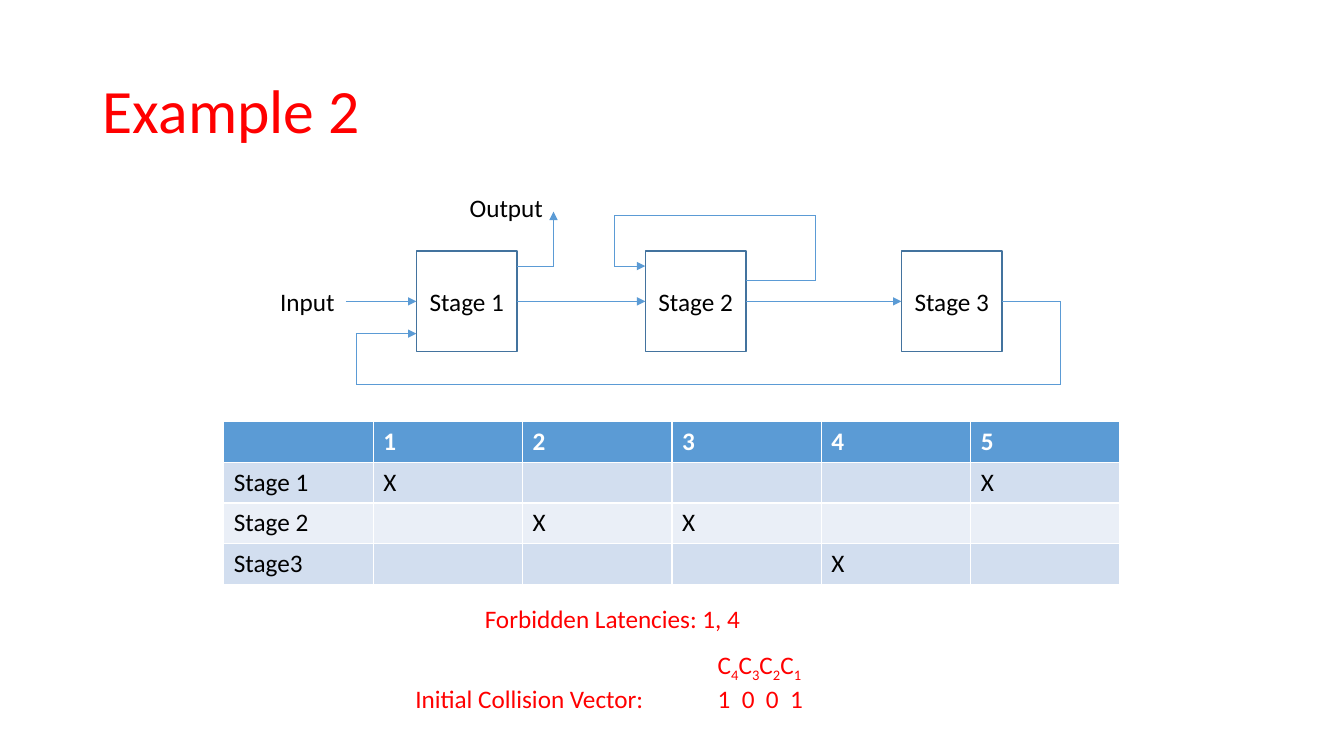
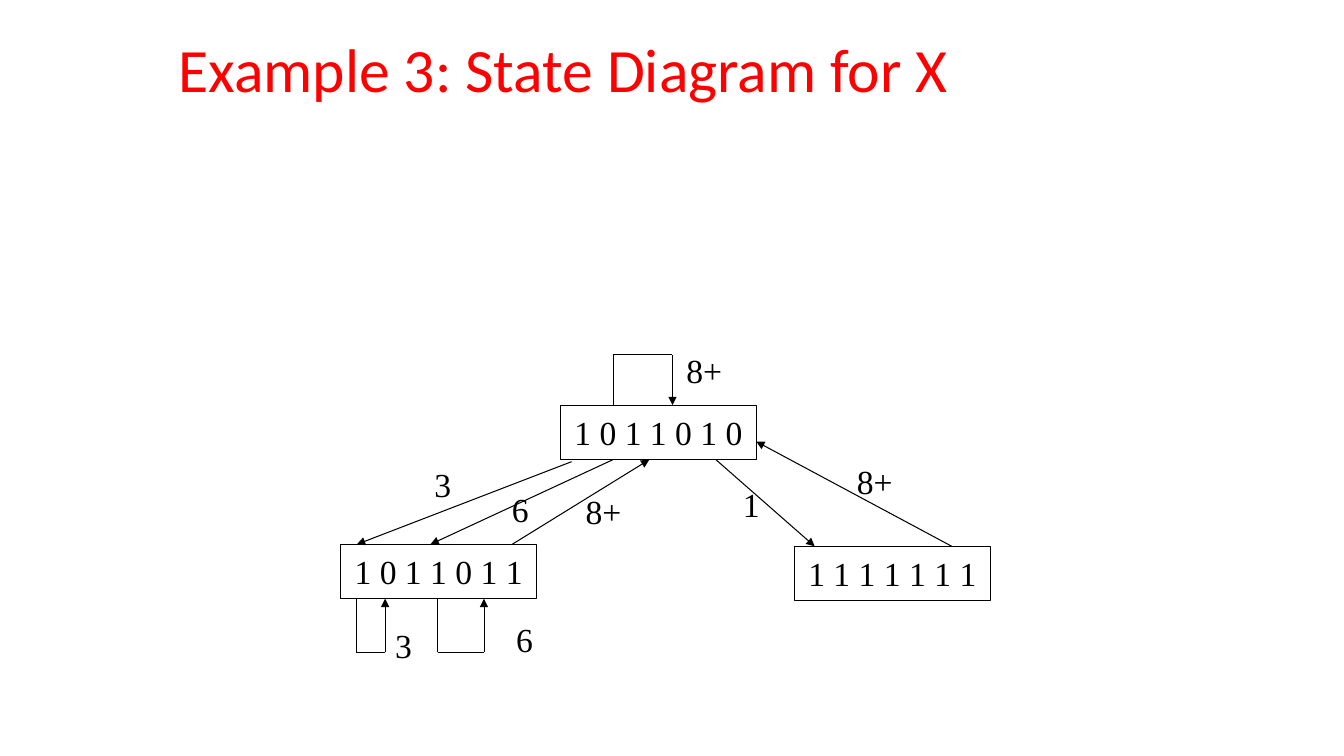
from lxml import etree
from pptx import Presentation
from pptx import util as u
from pptx.dml.color import RGBColor
from pptx.enum import shapes, text
from pptx.oxml import ns

RED = RGBColor(0xFF, 0x00, 0x00)
BLACK = RGBColor(0x00, 0x00, 0x00)
WHITE = RGBColor(0xFF, 0xFF, 0xFF)
BLUE = RGBColor(0x5B, 0x9B, 0xD5)
EDGE = RGBColor(0x43, 0x73, 0x9E)
BANDS = RGBColor(0xD2, 0xDE, 0xEF), RGBColor(0xEA, 0xEF, 0xF7)
SANS = "Calibri"
SERIF = "Times New Roman"


def inch(*sizes):
    return [u.Inches(size) for size in sizes]


def style(para, face, size, color, bold=False):
    font = para.font
    font.name, font.size, font.bold = face, u.Pt(size), bold
    font.color.rgb = color


def start(deck, title, *place):
    slide = deck.slides.add_slide(deck.slide_layouts[5])
    head = slide.shapes.title
    head.left, head.top, head.width, head.height = inch(*place)
    frame = head.text_frame
    frame.text = title
    frame.vertical_anchor = text.MSO_ANCHOR.MIDDLE
    para = frame.paragraphs[0]
    para.alignment = text.PP_ALIGN.LEFT
    para.line_spacing = 0.9
    style(para, SANS, 44, RED)
    return slide


def label(slide, words, place, face=SANS, size=18, color=BLACK):
    box = slide.shapes.add_textbox(*inch(*place))
    frame = box.text_frame
    frame.word_wrap = False
    frame.auto_size = text.MSO_AUTO_SIZE.SHAPE_TO_FIT_TEXT
    frame.text = words
    for para in frame.paragraphs:
        style(para, face, size, color)
    return box


def block(slide, words, place, edge, weight, face, size):
    box = slide.shapes.add_shape(shapes.MSO_SHAPE.RECTANGLE, *inch(*place))
    box.shadow.inherit = False
    box.fill.background()
    box.line.color.rgb = edge
    box.line.width = u.Pt(weight)
    frame = box.text_frame
    frame.word_wrap = False
    frame.text = words
    frame.vertical_anchor = text.MSO_ANCHOR.MIDDLE
    para = frame.paragraphs[0]
    para.alignment = text.PP_ALIGN.CENTER
    style(para, face, size, BLACK)
    return box


def route(slide, points, color, weight, source=None, target=None):
    links = []
    for begin, end in zip(points, points[1:]):
        link = slide.shapes.add_connector(
            shapes.MSO_CONNECTOR.STRAIGHT, *inch(*begin, *end))
        link.line.color.rgb = color
        link.line.width = u.Pt(weight)
        etree.SubElement(link._element.spPr, ns.qn("a:effectLst"))
        links.append(link)
    tail = etree.SubElement(links[-1].line._get_or_add_ln(), ns.qn("a:tailEnd"))
    tail.set("type", "triangle")
    if source:
        links[0].begin_connect(source, 3)
    if target:
        links[-1].end_connect(target, 1)


def grid(slide, rows, place):
    table = slide.shapes.add_table(len(rows), len(rows[0]), *inch(*place)).table
    for r, row in enumerate(rows):
        for c, words in enumerate(row):
            cell = table.cell(r, c)
            cell.text = words
            cell.fill.solid()
            cell.fill.fore_color.rgb = BANDS[(r - 1) % 2] if r else BLUE
            style(cell.text_frame.paragraphs[0], SANS, 18,
                  BLACK if r else WHITE, r == 0)


def vector(slide):
    box = label(slide, "\t\nInitial Collision Vector:\t1  0  0  1",
                (4.02, 6.39, 4.15, 0.71), color=RED)
    paras = box.text_frame.paragraphs
    for para in paras:
        tabs = etree.SubElement(para._p.get_or_add_pPr(), ns.qn("a:tabLst"))
        etree.SubElement(tabs, ns.qn("a:tab"), pos=str(u.Inches(3)), algn="l")
        props = para._p.pPr
        props.insert(0, tabs)
    for digit in "4321":
        paras[0].add_run().text = "C"
        sub = paras[0].add_run()
        sub.text = digit
        sub._r.get_or_add_rPr().set("baseline", "-25000")


def stages(deck):
    slide = start(deck, "Example 2", 0.92, 0.4, 11.5, 1.45)
    one, two, three = [
        block(slide, f"Stage {n}", (x, 2.49, 1, 1), EDGE, 1, SANS, 18)
        for n, x in enumerate((4.13, 6.4, 8.94), 1)]
    label(slide, "Output", (4.56, 1.86, 0.94, 0.4))
    entry = label(slide, "Input", (2.68, 2.79, 0.75, 0.4))
    for points, source, target in (
        ([(3.43, 2.99), (4.13, 2.99)], entry, one),
        ([(5.13, 2.99), (6.4, 2.99)], one, two),
        ([(7.4, 2.99), (8.94, 2.99)], two, three),
        ([(5.13, 2.64), (5.49, 2.64), (5.49, 2.1)], None, None),
        ([(7.4, 2.78), (8.09, 2.78), (8.09, 2.14), (6.09, 2.14),
          (6.09, 2.64), (6.4, 2.64)], None, None),
        ([(9.94, 2.99), (10.52, 2.99), (10.52, 3.81), (3.53, 3.81),
          (3.53, 3.31), (4.13, 3.31)], three, None),
    ):
        route(slide, points, BLUE, 0.5, source, target)
    grid(slide, [
        ["", "1", "2", "3", "4", "5"],
        ["Stage 1", "X", "", "", "", "X"],
        ["Stage 2", "", "X", "X", "", ""],
        ["Stage3", "", "", "", "X", ""],
    ], (2.22, 4.18, 8.89, 1.62))
    label(slide, "Forbidden Latencies: 1, 4", (4.71, 5.94, 2.77, 0.4), color=RED)
    vector(slide)


def states(deck):
    slide = start(deck, "Example 3: State Diagram for X", 1.67, 0.09, 10, 1.25)
    for bits, x, y in (("1011010", 5.56, 4.02), ("1011011", 3.38, 5.4),
                       ("1111111", 7.88, 5.42)):
        block(slide, " ".join(bits), (x, y, 1.94, 0.54), BLACK, 0.75, SERIF, 24)
    for points in (
        [(7.1, 4.56), (8.08, 5.42)],
        [(9.44, 5.42), (7.5, 4.38)],
        [(5.67, 4.58), (3.54, 5.4)],
        [(6.08, 4.56), (4.27, 5.4)],
        [(5.08, 5.4), (6.44, 4.56)],
    ):
        route(slide, points, BLACK, 0.75)
    for left, right, base, far in ((6.08, 6.67, 4.02, 3.52),
                                   (3.53, 3.82, 5.94, 6.47),
                                   (4.34, 4.8, 5.94, 6.47)):
        route(slide, [(left, base), (left, far), (right, far), (right, base)],
              BLACK, 0.5)
    for words, x, y in (("3", 4.21, 4.55), ("6", 4.98, 4.8), ("8+", 5.71, 4.82),
                        ("8+", 6.71, 3.42), ("8+", 8.4, 4.52), ("1", 7.27, 4.75),
                        ("3", 3.82, 6.15), ("6", 5.02, 6.09)):
        width = 0.37 if len(words) == 1 else 0.56
        label(slide, words, (x, y, width, 0.5), SERIF, 24)


def main():
    deck = Presentation()
    deck.slide_width, deck.slide_height = inch(13.33, 7.5)
    stages(deck)
    states(deck)
    deck.save("out.pptx")


if __name__ == "__main__":
    main()
